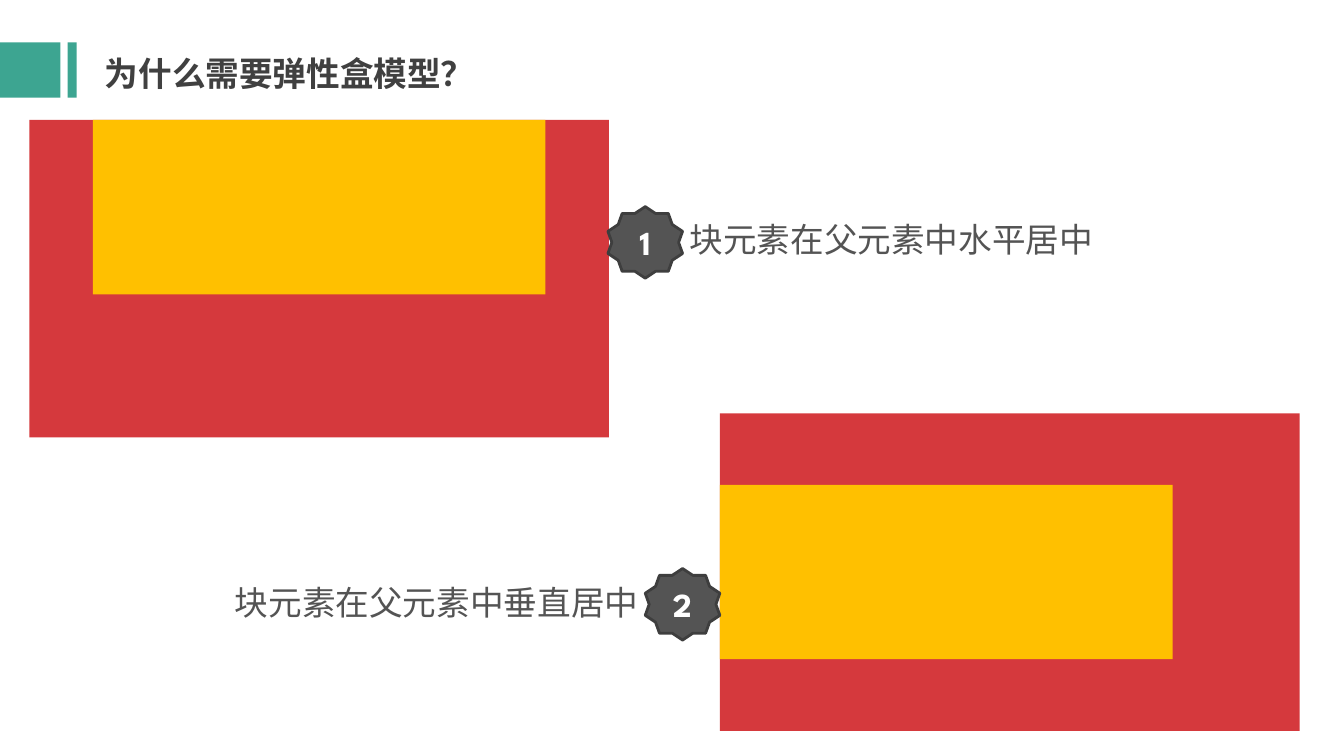
from lxml.etree import SubElement
from pptx import Presentation
from pptx.dml.color import RGBColor
from pptx.enum.shapes import MSO_SHAPE
from pptx.enum.text import MSO_ANCHOR, PP_ALIGN
from pptx.oxml.ns import qn
from pptx.util import Inches, Pt

# Content
TITLE = "为什么需要弹性盒模型？"
HEAD, BODY = "Noto Sans CJK SC", "League Spartan"
RED, GOLD, TEAL = "D5393D", "FFC000", "3DA591"
GREY, EDGE, DARK, WHITE = "545454", "3E3E3E", "404040", "FFFFFF"
OUTER, INNER = (5.75, 3.15), (4.49, 1.73)
STAR, LABEL = (0.74, 0.71), (4.88, 0.46)
SPARE = [a - b for a, b in zip(OUTER, INNER)]

# Each demo: parent corner, child shift, badge corner, label corner, text
DEMOS = [
    ((0.29, 1.19), (SPARE[0] / 2, 0), (6.03, 2.05), (6.4, 2.17),
     "块元素在父元素中水平居中"),
    ((7.14, 4.1), (0, SPARE[1] / 2), (6.4, 5.64), (1.89, 5.77),
     "块元素在父元素中垂直居中"),
]
BARS = [(0, 0.6), (0.67, 0.09)]

deck = Presentation()
deck.slide_width, deck.slide_height = Inches(13.33), Inches(7.5)
slide = deck.slides.add_slide(deck.slide_layouts[5])


def color(code):
    return RGBColor.from_string(code)


def draw(kind, spot, size, fill):
    shape = slide.shapes.add_shape(kind, *map(Inches, spot + size))
    shape.shadow.inherit = False
    shape.fill.solid()
    shape.fill.fore_color.rgb = color(fill)
    shape.line.fill.background()
    return shape


def write(frame, text, face, ink, bold=False, align=PP_ALIGN.CENTER):
    frame.word_wrap = True
    para = frame.paragraphs[0]
    para.alignment = align
    run = para.add_run()
    run.text = text
    font = run.font
    font.name, font.size, font.bold = face, Pt(24), bold
    font.color.rgb = color(ink)
    SubElement(font._element, qn("a:ea"), typeface=HEAD)
    return para


# Parent and child boxes with their labels
for corner, shift, _, spot, text in DEMOS:
    draw(MSO_SHAPE.RECTANGLE, corner, OUTER, RED)
    inside = tuple(a + b for a, b in zip(corner, shift))
    draw(MSO_SHAPE.RECTANGLE, inside, INNER, GOLD)
    label = slide.shapes.add_textbox(*map(Inches, spot + LABEL))
    write(label.text_frame, text, BODY, GREY).line_spacing = 0.9

# Numbered badges
for num, demo in enumerate(DEMOS, 1):
    badge = draw(MSO_SHAPE.STAR_10_POINT, demo[2], STAR, GREY)
    badge.line.color.rgb = color(EDGE)
    badge.line.width = Pt(2)
    frame = badge.text_frame
    frame.margin_left = frame.margin_right = 0
    frame.margin_top = frame.margin_bottom = 0
    frame.vertical_anchor = MSO_ANCHOR.MIDDLE
    write(frame, str(num), BODY, WHITE, True)

# Title with its bars
for left, width in BARS:
    draw(MSO_SHAPE.RECTANGLE, (left, 0.42), (width, 0.55), TEAL)
title = slide.shapes.title
title.left, title.top = Inches(0.94), Inches(0.47)
title.width, title.height = Inches(5.32), Inches(0.5)
title.text_frame.vertical_anchor = MSO_ANCHOR.TOP
write(title.text_frame, TITLE, HEAD, DARK, True, PP_ALIGN.LEFT)

deck.save("out.pptx")
